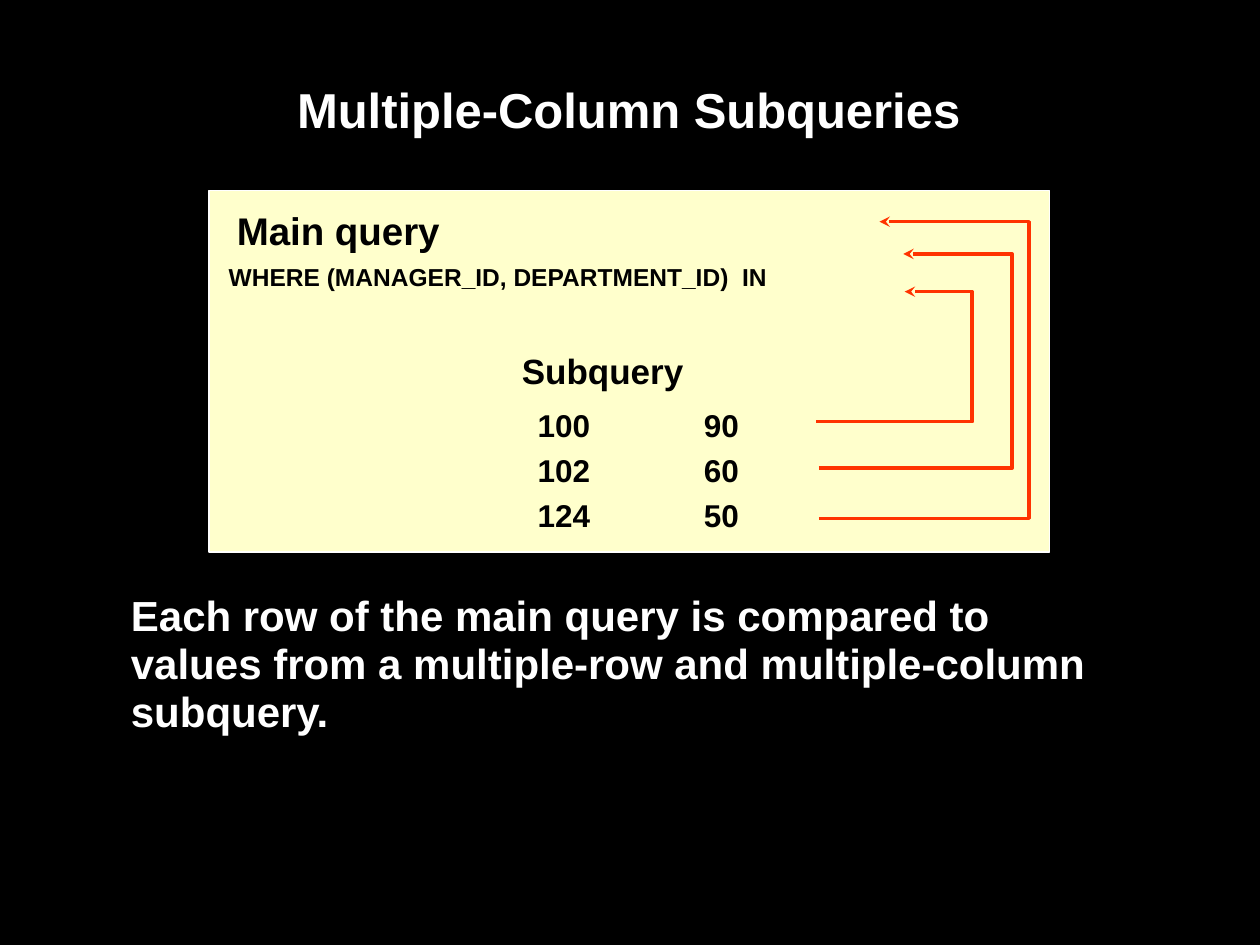
from lxml.etree import SubElement
from pptx import Presentation
from pptx.dml.color import RGBColor
from pptx.enum.shapes import MSO_SHAPE
from pptx.enum.text import MSO_ANCHOR, PP_ALIGN
from pptx.oxml.ns import qn
from pptx.util import Cm, Pt

COLORS = {
    "background": "000000",
    "panel": "FFFFCC",
    "light": "FFFFFF",
    "dark": "000000",
    "arrow": "FF3300",
}


def color(name):
    return RGBColor.from_string(COLORS[name])


def add_text(slide, words, box, size, tone, align, spacing, wrap, anchor=MSO_ANCHOR.TOP):
    frame = slide.shapes.add_textbox(*map(Cm, box)).text_frame
    paragraph = frame.paragraphs[0]
    paragraph.text = words
    formats = {
        frame: {"word_wrap": wrap, "vertical_anchor": anchor},
        paragraph: {"alignment": align, "line_spacing": spacing},
    }
    for part, values in formats.items():
        for key, value in values.items():
            setattr(part, key, value)
    for run in paragraph.runs:
        for key, value in {"name": "Arial", "size": Pt(size), "bold": True}.items():
            setattr(run.font, key, value)
        run.font.color.rgb = color(tone)
    return paragraph


presentation = Presentation()
presentation.slide_width = Cm(25.4)
presentation.slide_height = Cm(19.05)
slide = presentation.slides.add_slide(presentation.slide_layouts[6])
slide.background.fill.solid()
slide.background.fill.fore_color.rgb = color("background")

add_text(slide, "Multiple-Column Subqueries", (2.39, 1.47, 20.57, 2.44),
         28, "light", PP_ALIGN.CENTER, 1.0, True, MSO_ANCHOR.TOP)

panel = slide.shapes.add_shape(MSO_SHAPE.RECTANGLE, Cm(4.22), Cm(3.84), Cm(16.94), Cm(7.29))
panel.shadow.inherit = False
panel.fill.solid()
panel.fill.fore_color.rgb = color("panel")
panel.line.color.rgb = color("light")
panel.line.width = Pt(1)

panel_labels = [
    ("Main query", (4.52, 3.86, 4.6, 1.37), 22),
    ("WHERE (MANAGER_ID, DEPARTMENT_ID)  IN", (4.34, 5.03, 11.4, 0.97), 14),
    ("Subquery", (10.26, 6.76, 3.78, 1.27), 20),
]
for words, box, size in panel_labels:
    add_text(slide, words, box, size, "dark", PP_ALIGN.CENTER, 1.2, False)

pairs = [(100, 90), (102, 60), (124, 50)]
pair_lines = "\v".join(f"{manager}\t{department}" for manager, department in pairs)
pair_text = add_text(slide, pair_lines, (10.59, 7.9, 6.38, 3.0),
                     18, "dark", PP_ALIGN.LEFT, 1.2, True)
tab_list = SubElement(pair_text._p.get_or_add_pPr(), qn("a:tabLst"))
SubElement(tab_list, qn("a:tab"), pos=str(Cm(3.35)), algn="l")

arrow_routes = [
    (16.46, 8.5, 19.6, 5.88, 18.24),
    (16.51, 9.44, 20.4, 5.12, 18.21),
    (16.51, 10.45, 20.74, 4.47, 17.73),
]
for start, row, turn, target, end in arrow_routes:
    route = slide.shapes.build_freeform(Cm(start), Cm(row))
    corners = [(turn, row), (turn, target), (end, target)]
    route.add_line_segments([(Cm(x), Cm(y)) for x, y in corners], close=False)
    arrow = route.convert_to_shape()
    arrow.shadow.inherit = False
    arrow.fill.background()
    arrow.line.color.rgb = color("arrow")
    arrow.line.width = Pt(2)
    SubElement(arrow.line._get_or_add_ln(), qn("a:tailEnd"), type="stealth")

add_text(slide, "Each row of the main query is compared to values from a "
         "multiple-row and multiple-column subquery.", (2.39, 11.84, 20.52, 3.15),
         24, "light", PP_ALIGN.LEFT, 0.95, True)

presentation.save("out.pptx")
